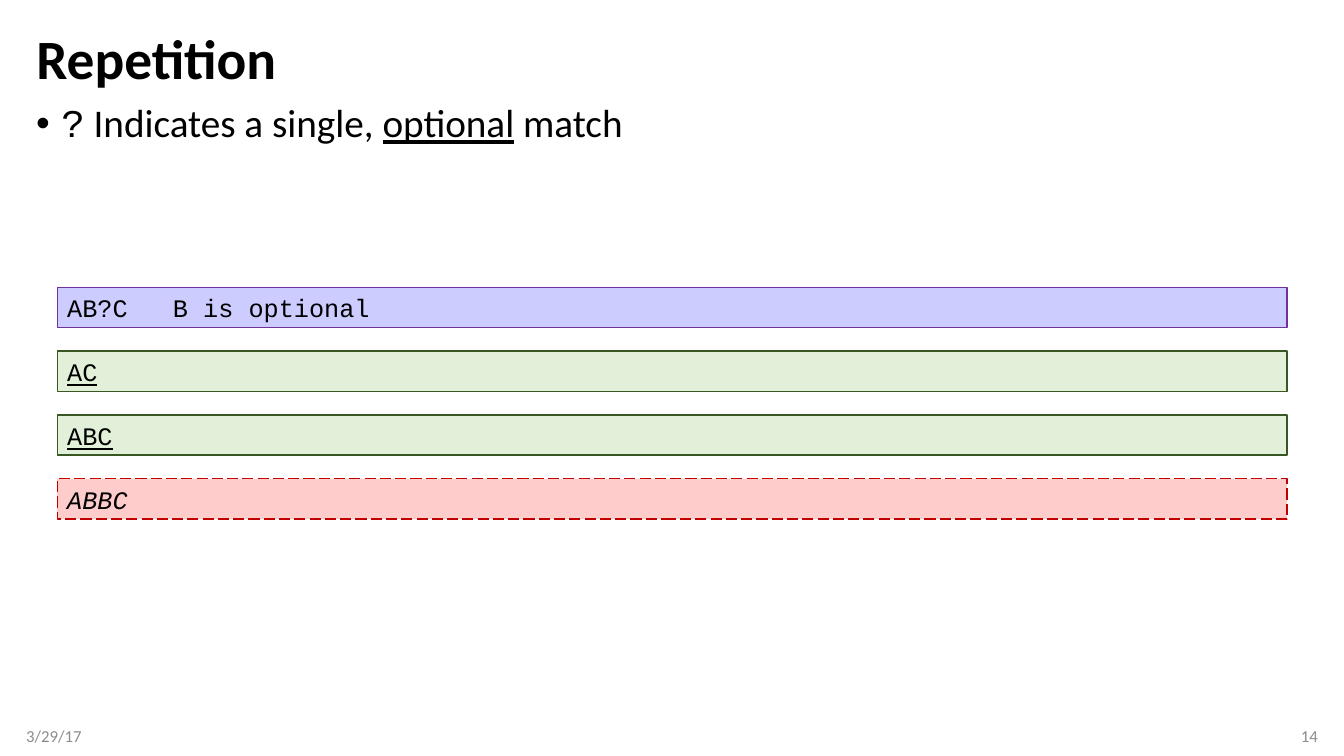
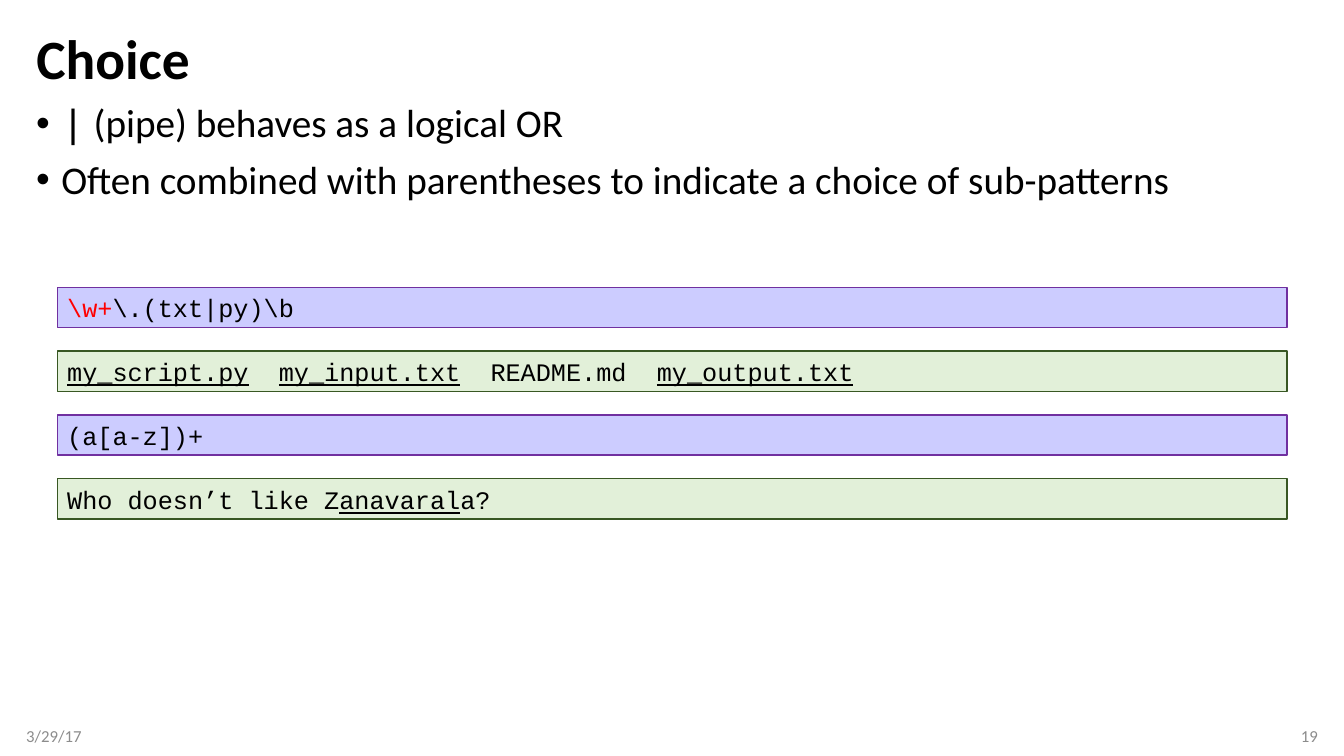
"""Build two slides on repetition and choice in regular expressions."""
from lxml.etree import SubElement
from pptx import Presentation
from pptx.dml.color import RGBColor
from pptx.enum.dml import MSO_LINE
from pptx.enum.shapes import MSO_SHAPE
from pptx.enum.text import MSO_ANCHOR, PP_ALIGN
from pptx.oxml.ns import qn
from pptx.util import Pt

COLORS = {
    "black": "000000", "red": "FF0000", "gray": "8C8C8C",
    "lilac": "CCCCFF", "purple": "7030A0",
    "pale_green": "E2F0D9", "dark_green": "385723",
    "pink": "FFCCCC", "dark_red": "C00000",
}
BARS = {
    "pattern": ("lilac", "purple", None),
    "match": ("pale_green", "dark_green", None),
    "miss": ("pink", "dark_red", MSO_LINE.LONG_DASH),
}
TITLE = {"name": "Calibri", "size": Pt(39.6), "bold": True}
BODY = {"name": "Calibri", "size": Pt(28)}
FOOTER = {"name": "Calibri", "size": Pt(12)}
CODE = {"name": "Courier New", "size": Pt(18)}
MONO = {"name": "Courier New"}
UNDERLINE = {"underline": True}
ITALIC = {"italic": True}
RED = {"color": "red"}

DATE = "3/29/17"
SLIDES = [
    {
        "title": "Repetition",
        "number": "14",
        "bullets": [
            [("?", MONO), (" Indicates a single, ", {}), ("optional", UNDERLINE), (" match", {})],
        ],
        "bars": [
            ("pattern", [("AB?C\tB is optional", {})], [7]),
            ("match", [("AC", UNDERLINE)], []),
            ("match", [("ABC", UNDERLINE)], []),
            ("miss", [("ABBC", ITALIC)], []),
        ],
    },
    {
        "title": "Choice",
        "number": "19",
        "bullets": [
            [("|", MONO), (" (pipe) behaves as a logical OR", {})],
            [("Often combined with parentheses to indicate a choice of sub-patterns", {})],
        ],
        "bars": [
            ("pattern", [(r"\w+", RED), (r"\.(txt|py)\b", {})], []),
            ("match", [("my_script.py", UNDERLINE), ("\t", {}), ("my_input.txt", UNDERLINE),
                       ("\tREADME.md\t", {}), ("my_output.txt", UNDERLINE)], [14, 28, 39]),
            ("pattern", [("(a[a-z])+", {})], []),
            ("match", [("Who doesn’t like Z", {}), ("anavaral", UNDERLINE), ("a?", {})], []),
        ],
    },
]

PAGE_WIDTH, PAGE_HEIGHT = 960, 540
MARGIN = 18.7
CONTENT_WIDTH = PAGE_WIDTH - 2 * MARGIN
FOOTER_WIDTH, FOOTER_HEIGHT = 216, 28.8
BAR_LEFT, BAR_TOP, BAR_WIDTH, BAR_HEIGHT, BAR_STEP = 40.9, 205.2, 878.4, 28.8, 45.6
CODE_CHARACTER = 10.8


def rgb(name):
    return RGBColor.from_string(COLORS[name])


def write(para, spans, base, color="black"):
    for text, style in spans:
        span = para.add_run()
        span.text = text
        formats = {**base, "color": color, **style}
        span.font.color.rgb = rgb(formats.pop("color"))
        for name, value in formats.items():
            setattr(span.font, name, value)


def add_box(page, left, top, width, height):
    box = page.shapes.add_textbox(Pt(left), Pt(top), Pt(width), Pt(height))
    box.text_frame.word_wrap = True
    return box


def add_title(page, text):
    title = page.shapes.title
    place = {"left": MARGIN, "top": 18, "width": CONTENT_WIDTH, "height": 51.8}
    for name, value in place.items():
        setattr(title, name, Pt(value))
    title.text_frame.vertical_anchor = MSO_ANCHOR.MIDDLE
    para = title.text_frame.paragraphs[0]
    para.alignment = PP_ALIGN.LEFT
    para.line_spacing = 0.9
    write(para, [(text, {})], TITLE)


def add_bullets(page, bullets):
    frame = add_box(page, MARGIN, 70.8, CONTENT_WIDTH, 26.6).text_frame
    for index, spans in enumerate(bullets):
        para = frame.add_paragraph() if index else frame.paragraphs[0]
        properties = para._p.get_or_add_pPr()
        properties.set("marL", str(Pt(18)))
        properties.set("indent", str(Pt(-18)))
        SubElement(properties, qn("a:buFont"), typeface="Arial")
        SubElement(properties, qn("a:buChar"), char="•")
        para.line_spacing = 0.9
        para.space_before = Pt(10 if index else 0)
        write(para, spans, BODY)


def add_footer(page, number):
    right = PAGE_WIDTH - MARGIN - FOOTER_WIDTH
    parts = [
        (DATE, MARGIN, PP_ALIGN.LEFT, "margin_left"),
        (number, right, PP_ALIGN.RIGHT, "margin_right"),
    ]
    for text, left, alignment, flush_side in parts:
        frame = add_box(page, left, PAGE_HEIGHT - FOOTER_HEIGHT,
                        FOOTER_WIDTH, FOOTER_HEIGHT).text_frame
        setattr(frame, flush_side, 0)
        frame.vertical_anchor = MSO_ANCHOR.MIDDLE
        frame.paragraphs[0].alignment = alignment
        write(frame.paragraphs[0], [(text, {})], FOOTER, "gray")


def add_bar(page, row, kind, spans, tab_columns):
    fill, line, dash = BARS[kind]
    bar = page.shapes.add_shape(MSO_SHAPE.RECTANGLE, Pt(BAR_LEFT), Pt(BAR_TOP + row * BAR_STEP),
                                Pt(BAR_WIDTH), Pt(BAR_HEIGHT))
    bar.shadow.inherit = False
    bar.fill.solid()
    bar.fill.fore_color.rgb = rgb(fill)
    bar.line.color.rgb = rgb(line)
    bar.line.width = Pt(1)
    if dash:
        bar.line.dash_style = dash
    bar.text_frame.word_wrap = True
    bar.text_frame.vertical_anchor = MSO_ANCHOR.MIDDLE
    para = bar.text_frame.paragraphs[0]
    para.alignment = PP_ALIGN.LEFT
    if tab_columns:
        tabs = SubElement(para._p.get_or_add_pPr(), qn("a:tabLst"))
        for column in tab_columns:
            SubElement(tabs, qn("a:tab"), pos=str(Pt(column * CODE_CHARACTER)), algn="l")
    write(para, spans, CODE)


def main():
    deck = Presentation()
    deck.slide_width, deck.slide_height = Pt(PAGE_WIDTH), Pt(PAGE_HEIGHT)
    for content in SLIDES:
        page = deck.slides.add_slide(deck.slide_layouts[5])
        add_title(page, content["title"])
        add_bullets(page, content["bullets"])
        add_footer(page, content["number"])
        for row, bar in enumerate(content["bars"]):
            add_bar(page, row, *bar)
    deck.save("out.pptx")


if __name__ == "__main__":
    main()
